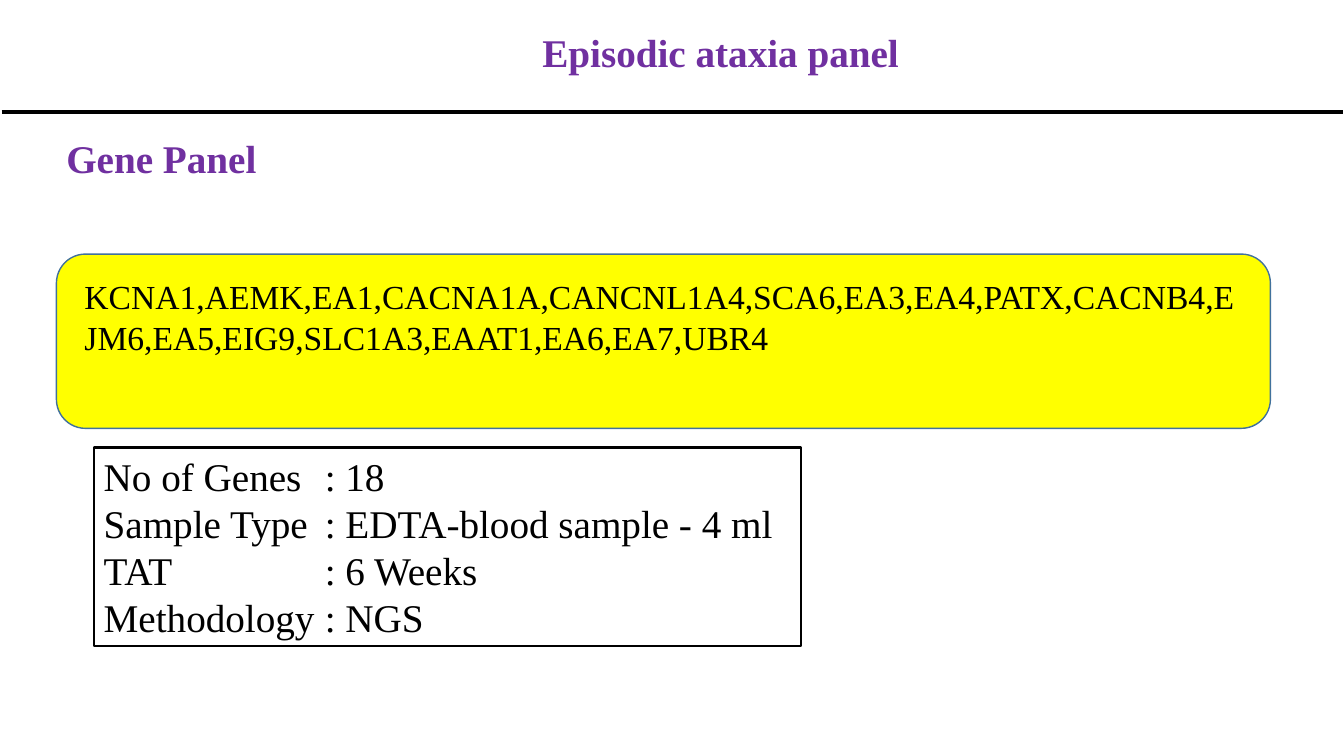
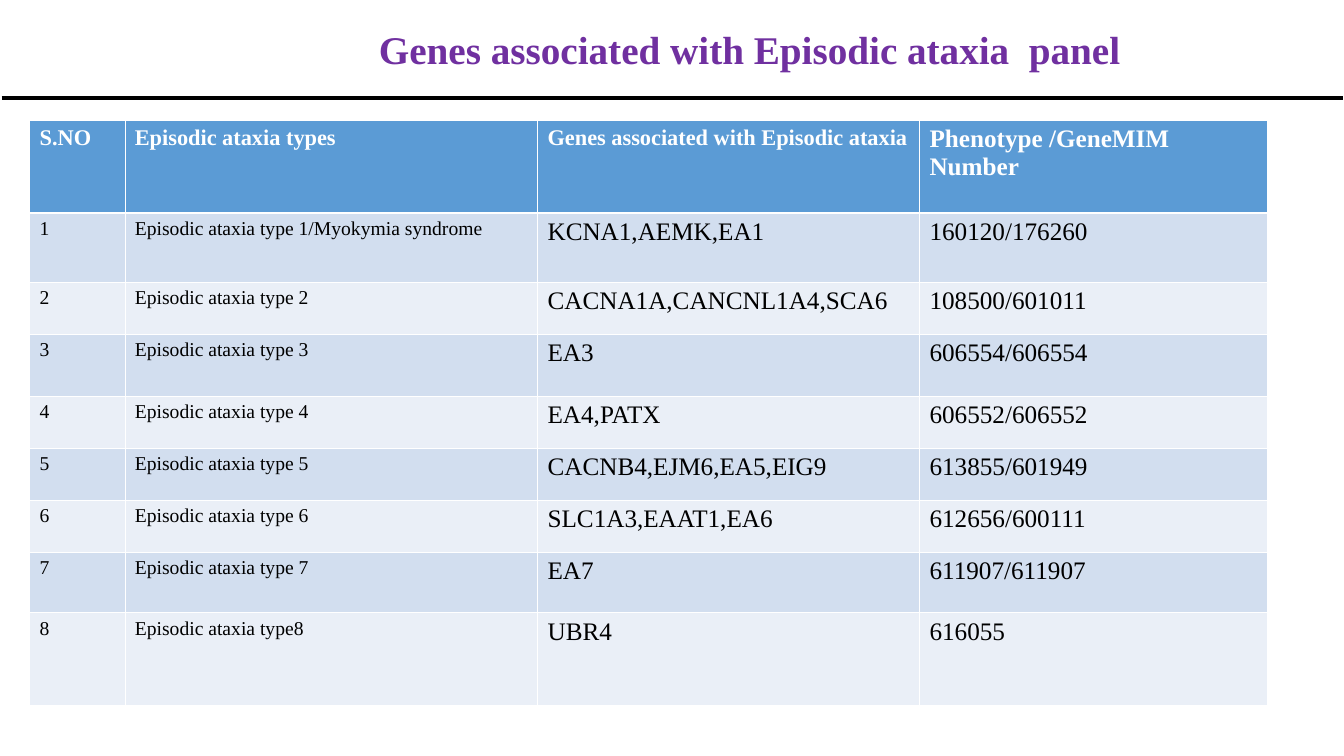
import pptx
import pptx.dml.color
import pptx.enum.shapes
import pptx.enum.text
import pptx.oxml
import pptx.oxml.ns
import pptx.util
from dataclasses import dataclass

Pt = pptx.util.Pt
SHAPES = pptx.enum.shapes.MSO_SHAPE
ANCHOR = pptx.enum.text.MSO_ANCHOR
ALIGN = pptx.enum.text.PP_ALIGN

# Content
PANEL_TITLE = "Episodic ataxia panel"
PANEL_HEADING = "Gene Panel"
TABLE_TITLE = "Genes associated with Episodic ataxia  panel"
HEADERS = ("S.NO", "Episodic ataxia types",
           "Genes associated with Episodic ataxia", "Phenotype /GeneMIM Number")
# Each entry: ataxia type, genes, phenotype / gene number
ATAXIAS = [
    ("Episodic ataxia type 1/Myokymia syndrome", "KCNA1,AEMK,EA1", "160120/176260"),
    ("Episodic ataxia type 2", "CACNA1A,CANCNL1A4,SCA6", "108500/601011"),
    ("Episodic ataxia type 3", "EA3", "606554/606554"),
    ("Episodic ataxia type 4", "EA4,PATX", "606552/606552"),
    ("Episodic ataxia type 5", "CACNB4,EJM6,EA5,EIG9", "613855/601949"),
    ("Episodic ataxia type 6", "SLC1A3,EAAT1,EA6", "612656/600111"),
    ("Episodic ataxia type 7", "EA7", "611907/611907"),
    ("Episodic ataxia type8", "UBR4", "616055"),
]
GENES = ",".join(genes for _, genes, _ in ATAXIAS)
FACTS = [
    ("No of Genes", str(len(GENES.split(",")))),
    ("Sample Type", "EDTA-blood sample - 4 ml"),
    ("TAT", "6 Weeks"),
    ("Methodology", "NGS"),
]


@dataclass(frozen=True)
class Theme:
    font: str = "Times New Roman"
    accent: str = "7030A0"
    ink: str = "000000"
    paper: str = "FFFFFF"
    panel: str = "FFFF00"
    panel_edge: str = "41719C"
    header: str = "5B9BD5"
    bands: tuple = ("D2DEEF", "EAEFF7")
    large: int = 28
    medium: int = 24
    header_sizes: tuple = (16, 16, 16, 18)
    cell_sizes: tuple = (14, 14, 18, 18)
    rule: float = 2.25
    thin_border: float = 0.45
    thick_border: float = 1.47


THEME = Theme()
PAGE_SIZE = (960.48, 540)
COLUMN_WIDTHS = (68, 295, 273, 248.5)
ROW_HEIGHTS = (66.5, 49.5, 37.2, 44.2, 37.2, 37.2, 37.2, 43, 66.5)
FACT_TAB = 158


def colour(value):
    return pptx.dml.color.RGBColor.from_string(value)


def points(*lengths):
    return [Pt(length) for length in lengths]


def write(frame, lines, size, ink=THEME.ink, bold=False, **para_format):
    """Fill a text frame with one formatted paragraph for each line."""
    frame.word_wrap = True
    for index, line in enumerate(lines):
        para = frame.paragraphs[0] if index == 0 else frame.add_paragraph()
        for name, value in {"alignment": ALIGN.LEFT, **para_format}.items():
            setattr(para, name, value)
        span = para.add_run()
        span.text = line
        for name, value in {"name": THEME.font, "size": Pt(size), "bold": bold}.items():
            setattr(span.font, name, value)
        span.font.color.rgb = colour(ink)


def add_text(page, area, lines, size, **format_values):
    box = page.shapes.add_textbox(*points(*area))
    write(box.text_frame, lines, size, **format_values)
    return box


def add_page(deck, title, title_area, rule_top):
    """Add a page with the shared title style and the rule below it."""
    page = deck.slides.add_slide(deck.slide_layouts[5])
    box = page.shapes.title
    for name, value in zip(("left", "top", "width", "height"), points(*title_area)):
        setattr(box, name, value)
    frame = box.text_frame
    frame.auto_size = pptx.enum.text.MSO_AUTO_SIZE.NONE
    frame.vertical_anchor = ANCHOR.MIDDLE
    write(frame, [title], THEME.large, THEME.accent, True,
          alignment=ALIGN.CENTER, line_spacing=0.9)
    rule = page.shapes.add_connector(
        pptx.enum.shapes.MSO_CONNECTOR.STRAIGHT,
        *points(1.2, rule_top, 960, rule_top))
    rule.line.color.rgb = colour(THEME.ink)
    rule.line.width = Pt(THEME.rule)
    pptx.oxml.ns  # namespace map used by the fragments below
    rule._element.spPr.append(fragment("<a:effectLst {ns}/>"))
    return page


def fragment(markup):
    return pptx.oxml.parse_xml(markup.format(ns=pptx.oxml.ns.nsdecls("a")))


def set_borders(cell, widths):
    """Draw the left, right, top and bottom borders of a cell."""
    properties = cell._tc.get_or_add_tcPr()
    for index, (side, width) in enumerate(zip("LRTB", widths)):
        properties.insert(index, fragment(
            f'<a:ln{side} {{ns}} w="{Pt(width)}"><a:solidFill>'
            f'<a:srgbClr val="{THEME.paper}"/></a:solidFill></a:ln{side}>'))


def build_panel_page(deck):
    page = add_page(deck, PANEL_TITLE, (101, 0, 828, 78.5), 80)

    # Gene list on its rounded panel
    panel = page.shapes.add_shape(SHAPES.ROUNDED_RECTANGLE,
                                  *points(40.3, 181.5, 867.6, 124.5))
    panel.shadow.inherit = False
    panel.fill.solid()
    panel.fill.fore_color.rgb = colour(THEME.panel)
    panel.line.color.rgb = colour(THEME.panel_edge)
    panel.line.width = Pt(1)
    add_text(page, (53.3, 193.7, 840.2, 65), [GENES], THEME.medium)

    # Outlined facts with aligned colons
    facts = add_text(page, (67, 319.7, 505.5, 141.8),
                     [f"{label}\t: {value}" for label, value in FACTS], THEME.large)
    facts.line.color.rgb = colour(THEME.ink)
    facts.line.width = Pt(1.5)
    for para in facts.text_frame.paragraphs:
        para._p.get_or_add_pPr().append(fragment(
            f'<a:tabLst {{ns}}><a:tab pos="{Pt(FACT_TAB)}" algn="l"/></a:tabLst>'))

    add_text(page, (40.3, 92.2, 273, 41), [PANEL_HEADING], THEME.large,
             ink=THEME.accent, bold=True)


def build_table_page(deck):
    page = add_page(deck, TABLE_TITLE, (121.7, 12, 828, 50), 70)
    rows = [HEADERS] + [(str(number), *entry) for number, entry in enumerate(ATAXIAS, 1)]
    area = (21.2, 85.7, sum(COLUMN_WIDTHS), sum(ROW_HEIGHTS))
    table = page.shapes.add_table(len(rows), len(HEADERS), *points(*area)).table
    for column, width in zip(table.columns, COLUMN_WIDTHS):
        column.width = Pt(width)
    for row, height in zip(table.rows, ROW_HEIGHTS):
        row.height = Pt(height)

    # Header row, then alternating bands
    thin, thick = THEME.thin_border, THEME.thick_border
    for row_index, texts in enumerate(rows):
        is_header = row_index == 0
        fill = THEME.header if is_header else THEME.bands[(row_index - 1) % 2]
        ink = THEME.paper if is_header else THEME.ink
        sizes = THEME.header_sizes if is_header else THEME.cell_sizes
        borders = (thin, thin, thick if row_index == 1 else thin,
                   thick if is_header else thin)
        for column_index, (text, size) in enumerate(zip(texts, sizes)):
            cell = table.cell(row_index, column_index)
            write(cell.text_frame, [text], size, ink, is_header)
            cell.fill.solid()
            cell.fill.fore_color.rgb = colour(fill)
            set_borders(cell, borders)


def main():
    deck = pptx.Presentation()
    deck.slide_width, deck.slide_height = points(*PAGE_SIZE)
    build_panel_page(deck)
    build_table_page(deck)
    deck.save("out.pptx")


if __name__ == "__main__":
    main()
